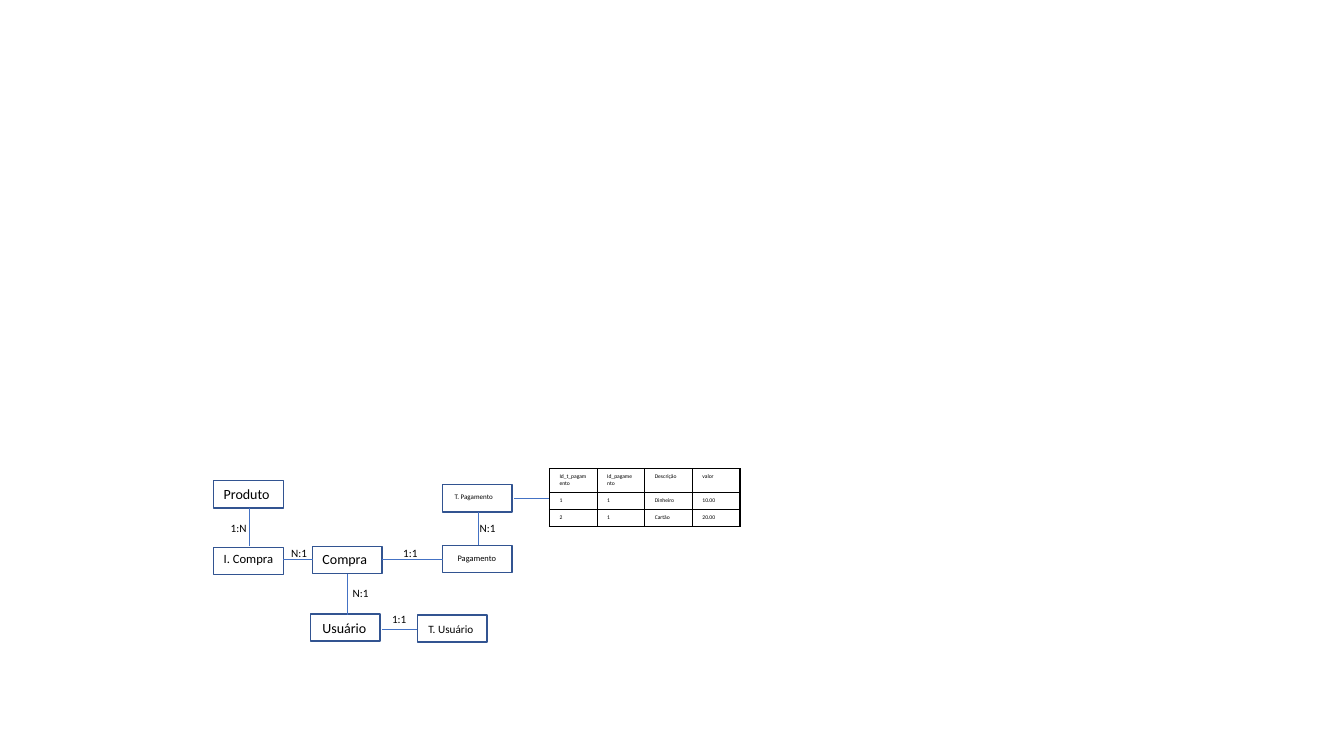
from lxml import etree
from pptx import Presentation
from pptx.dml.color import RGBColor
from pptx.enum.shapes import MSO_CONNECTOR, MSO_SHAPE
from pptx.enum.text import MSO_AUTO_SIZE
from pptx.oxml.ns import qn
from pptx.util import Inches, Pt

RECT = MSO_SHAPE.RECTANGLE
LINE = MSO_CONNECTOR.STRAIGHT
GROW = MSO_AUTO_SIZE.SHAPE_TO_FIT_TEXT
HEX = {"fill": "FFFFFF", "edge": "325491", "link": "4472C4", "text": "000000"}
RGB = {name: RGBColor.from_string(code) for name, code in HEX.items()}

deck = Presentation()
deck.slide_width = Inches(13.33)
deck.slide_height = Inches(7.5)
slide = deck.slides.add_slide(deck.slide_layouts[6])
shapes = slide.shapes


def write(frame, text, size):
    frame.text = text
    font = frame.paragraphs[0].runs[0].font
    font.name = "Calibri"
    font.size = Pt(size)
    font.color.rgb = RGB["text"]


def add_text(text, size, left, top, width, height, wrap):
    box = shapes.add_textbox(*map(Inches, (left, top, width, height)))
    frame = box.text_frame
    frame.word_wrap = wrap
    frame.auto_size = GROW
    write(frame, text, size)


entities = [
    ("Produto", 10, 2.12, 4.77, 2.12, 4.77, 0.27),
    ("Usuário", 10, 3.08, 6.09, 3.1, 6.1, 0.28),
    ("Compra", 10, 3.1, 5.42, 3.1, 5.41, 0.28),
    ("I. Compra", 9, 2.12, 5.43, 2.12, 5.42, 0.25),
    ("Pagamento", 6, 4.39, 5.41, 4.44, 5.44, 0.2),
    ("T. Pagamento", 5, 4.39, 4.81, 4.41, 4.84, 0.19),
    ("T. Usuário", 8, 4.14, 6.1, 4.15, 6.12, 0.24),
]
for name, size, left, top, text_left, text_top, height in entities:
    box = shapes.add_shape(RECT, *map(Inches, (left, top, 0.69, 0.27)))
    box.shadow.inherit = False
    box.fill.solid()
    box.fill.fore_color.rgb = RGB["fill"]
    box.line.color.rgb = RGB["edge"]
    box.line.width = Pt(1)
    add_text(name, size, text_left, text_top, 0.69, height, True)

links = [
    (4.74, 5.41, 4.74, 5.08),
    (2.47, 5.42, 2.47, 5.04),
    (2.81, 5.55, 3.1, 5.55),
    (3.45, 6.1, 3.45, 5.69),
    (4.39, 5.55, 3.79, 5.55),
    (4.14, 6.24, 3.79, 6.24),
    (5.45, 4.94, 5.1, 4.94),
]
for ends in links:
    link = shapes.add_connector(LINE, *map(Inches, ends))
    link.line.color.rgb = RGB["link"]
    link.line.width = Pt(0.5)
    etree.SubElement(link._element.spPr, qn("a:effectLst"))

ratios = [
    ("N:1", 3.4, 5.77, 0.36, False),
    ("N:1", 2.79, 5.37, 0.36, False),
    ("1:N", 2.19, 5.12, 0.37, True),
    ("1:1", 3.9, 5.37, 0.34, False),
    ("N:1", 4.66, 5.12, 0.36, False),
    ("1:1", 3.79, 6.03, 0.34, False),
]
for ratio, left, top, width, wrap in ratios:
    add_text(ratio, 8, left, top, width, 0.24, wrap)

rows = [
    ("Id_t_pagamento", "Id_pagamento", "Descrição", "valor"),
    ("1", "1", "Dinheiro", "10.00"),
    ("2", "1", "Cartão", "20.00"),
]
grid = shapes.add_table(3, 4, *map(Inches, (5.45, 4.65, 1.89, 0.57))).table
for col in grid.columns:
    col.width = Inches(1.89 / 4)
for row, height in zip(grid.rows, (0.23, 0.17, 0.17)):
    row.height = Inches(height)
for i, row in enumerate(rows):
    for j, text in enumerate(row):
        cell = grid.cell(i, j)
        write(cell.text_frame, text, 4)
        cell.text_frame.paragraphs[0].runs[0].font.bold = False
        cell.fill.solid()
        cell.fill.fore_color.rgb = RGB["fill"]
        props = cell._tc.get_or_add_tcPr()
        for k, side in enumerate(("lnL", "lnR", "lnT", "lnB")):
            edge = etree.Element(qn("a:" + side), w=str(Pt(1)))
            paint = etree.SubElement(edge, qn("a:solidFill"))
            etree.SubElement(paint, qn("a:srgbClr"), val=HEX["text"])
            props.insert(k, edge)

deck.save("out.pptx")
